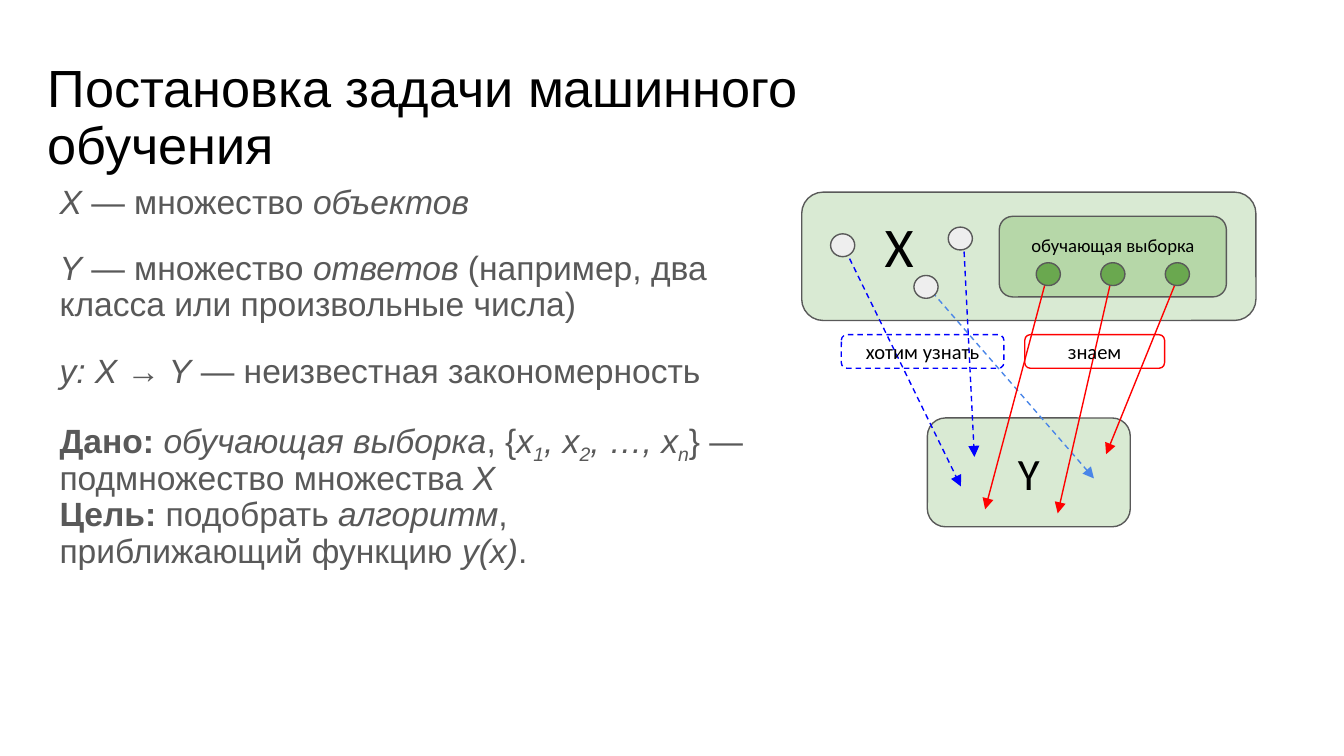
import pptx
import pptx.util
import pptx.dml.color
import pptx.enum.dml
import pptx.enum.shapes
import pptx.enum.text
import pptx.oxml.ns
import lxml.etree

PX = 4572
SHAPE = pptx.enum.shapes.MSO_SHAPE
ALIGN = pptx.enum.text.PP_ALIGN
ANCHOR = pptx.enum.text.MSO_ANCHOR
INK, GREY, PALE = "000000", "595959", "D9EAD3"
BLUE, RED = "0000FF", "FF0000"

BODY = [
    [[("X", "i"), (" — множество ", ""), ("объектов", "i")]],
    [[("Y", "i"), (" — множество ", ""), ("ответов", "i"),
      (" (например, два класса или произвольные числа)", "")]],
    [[("y: X → Y", "i"), (" — неизвестная закономерность", "")]],
    [[("Дано: ", "b"), ("обучающая выборка", "i"), (", {", ""),
      ("x", "i"), ("1", "is"), (", x", "i"), ("2", "is"),
      (", …, x", "i"), ("n", "is"),
      ("} — подмножество множества ", ""), ("X", "i")],
     [("Цель: ", "b"), ("подобрать ", ""), ("алгоритм", "i"),
      (", приближающий функцию ", ""), ("y(x)", "i"), (".", "")]],
]


def rgb(color):
    return pptx.dml.color.RGBColor.from_string(color)


def px(*values):
    return [pptx.util.Emu(v * PX) for v in values]


def style_run(r, size, font, color):
    r.font.size = pptx.util.Pt(size)
    r.font.name = font
    r.font.color.rgb = rgb(color)


def style_frame(tf, anchor, left=20):
    tf.word_wrap = True
    tf.auto_size = pptx.enum.text.MSO_AUTO_SIZE.NONE
    tf.vertical_anchor = anchor
    tf.margin_left, tf.margin_top, tf.margin_right, tf.margin_bottom = px(left, 20, 20, 20)


def style_line(line, color, dashed=False):
    line.color.rgb = rgb(color)
    line.width = pptx.util.Pt(0.75)
    if dashed:
        line.dash_style = pptx.enum.dml.MSO_LINE.DASH


def add_title(s, box):
    sp = s.shapes.title
    sp.left, sp.top, sp.width, sp.height = px(*box)
    tf = sp.text_frame
    style_frame(tf, ANCHOR.TOP)
    tf.text = "Постановка задачи машинного обучения"
    p = tf.paragraphs[0]
    p.alignment = ALIGN.LEFT
    p.line_spacing = 0.9
    style_run(p.runs[0], 28, "Arial", INK)


def add_body(s, box):
    tf = s.shapes.add_textbox(*px(*box)).text_frame
    style_frame(tf, ANCHOR.TOP)
    for i, lines in enumerate(BODY):
        p = tf.add_paragraph() if i else tf.paragraphs[0]
        p.line_spacing = 0.9
        p.space_before = pptx.util.Pt(16 if i else 0)
        for j, parts in enumerate(lines):
            if j:
                p.add_line_break()
            for text, marks in parts:
                r = p.add_run()
                r.text = text
                style_run(r, 18, "Arial", GREY)
                r.font.bold = "b" in marks
                r.font.italic = "i" in marks
                if "s" in marks:
                    r._r.get_or_add_rPr().set("baseline", "-25000")


def add_node(s, kind, box, fill=None, line=GREY, dashed=False):
    sp = s.shapes.add_shape(kind, *px(*box))
    sp.shadow.inherit = False
    if fill:
        sp.fill.solid()
        sp.fill.fore_color.rgb = rgb(fill)
    else:
        sp.fill.background()
    style_line(sp.line, line, dashed)
    return sp


def add_label(sp, text, size, anchor=ANCHOR.MIDDLE, align=ALIGN.CENTER, left=20):
    tf = sp.text_frame
    style_frame(tf, anchor, left)
    tf.text = text
    p = tf.paragraphs[0]
    p.alignment = align
    style_run(p.runs[0], size, "Calibri", INK)


def add_arrow(s, ends, color, dashed):
    c = s.shapes.add_connector(pptx.enum.shapes.MSO_CONNECTOR.STRAIGHT, *px(*ends))
    style_line(c.line, color, dashed)
    qn = pptx.oxml.ns.qn
    lxml.etree.SubElement(c.line._get_or_add_ln(), qn("a:tailEnd"), type="triangle")
    lxml.etree.SubElement(c._element.spPr, qn("a:effectLst"))


def add_diagram(s, x, y):
    def at(dx, dy, w, h):
        return x + dx, y + dy, w, h

    objects = add_node(s, SHAPE.ROUNDED_RECTANGLE, at(0, 0, 676, 191), PALE)
    add_label(objects, "X", 30, ANCHOR.TOP, ALIGN.LEFT, 114)
    sample = add_node(s, SHAPE.ROUNDED_RECTANGLE, at(294, 36, 338, 120), "B6D7A8")
    add_label(sample, "обучающая выборка", 10, ANCHOR.TOP)
    answers = add_node(s, SHAPE.ROUNDED_RECTANGLE, at(187, 336, 302, 162), PALE)
    add_label(answers, "Y", 24)

    for x1, y1, x2, y2, color in [
        (65, 86, 237, 438, BLUE), (241, 74, 257, 394, BLUE), (185, 138, 435, 426, "4A86E8"),
        (365, 126, 273, 472, RED), (463, 120, 381, 478, RED), (561, 124, 453, 390, RED),
    ]:
        add_arrow(s, (x + x1, y + y1, x + x2, y + y2), color, color != RED)

    unknown = [(43, 62), (167, 124), (218, 52)]
    known = [(349 + 96 * i, 105) for i in range(3)]
    for points, fill in [(unknown, "EEEEEE"), (known, "6AA84F")]:
        for dx, dy in points:
            add_node(s, SHAPE.OVAL, at(dx, dy, 36, 34), fill)

    for text, dx, w, color in [("знаем", 332, 208, RED), ("хотим узнать", 59, 242, BLUE)]:
        sp = add_node(s, SHAPE.ROUNDED_RECTANGLE, at(dx, 212, w, 50), None, color, color == BLUE)
        add_label(sp, text, 11)


def main():
    prs = pptx.Presentation()
    prs.slide_width, prs.slide_height = px(2000, 1125)
    s = prs.slides.add_slide(prs.slide_layouts[5])
    add_title(s, (51, 73, 1398, 94))
    add_body(s, (69, 256, 1080, 744))
    add_diagram(s, 1193, 286)
    prs.save("out.pptx")


if __name__ == "__main__":
    main()
